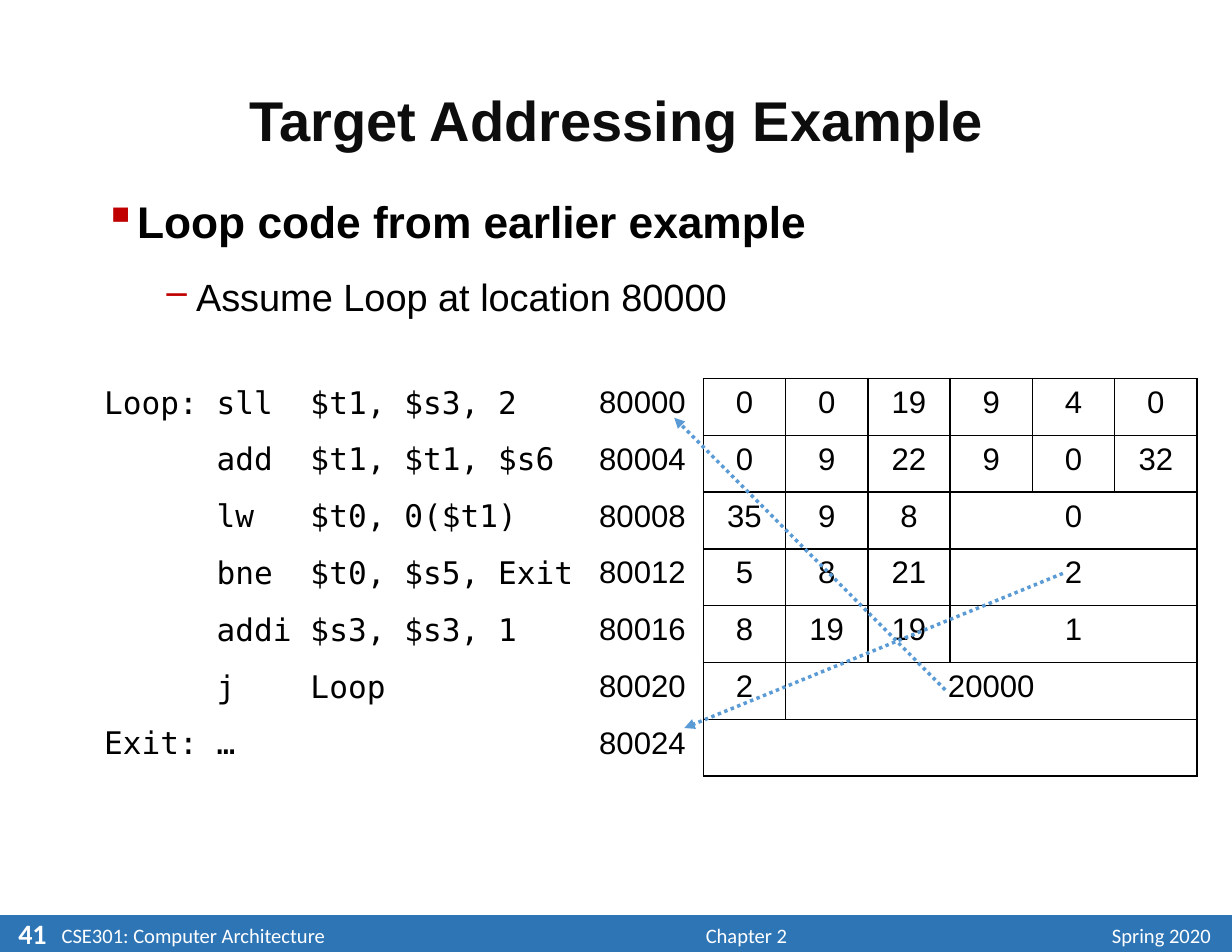
import lxml.etree
import pptx
import pptx.dml.color
import pptx.enum.dml
import pptx.enum.shapes
import pptx.enum.text
import pptx.oxml.ns
import pptx.util

Inches = pptx.util.Inches
Pt = pptx.util.Pt
RGBColor = pptx.dml.color.RGBColor
Align = pptx.enum.text.PP_ALIGN
qn = pptx.oxml.ns.qn

BLACK = RGBColor(0x00, 0x00, 0x00)
WHITE = RGBColor(0xFF, 0xFF, 0xFF)
TITLE_COLOR = RGBColor(0x0D, 0x0D, 0x0D)
BULLET_RED = RGBColor(0xC0, 0x00, 0x00)
FOOTER_BLUE = RGBColor(0x2E, 0x75, 0xB6)
ARROW_BLUE = RGBColor(0x5B, 0x9B, 0xD5)

CODE_WIDTH, ADDRESS_WIDTH, FIELD_WIDTH = 4.42, 1.04, 0.735
FIELD_COUNT = 6
FIRST_ADDRESS = 80000
# Each line of code with its instruction fields; the last field fills the row.
INSTRUCTIONS = [
    ("Loop: sll  $t1, $s3, 2", [0, 0, 19, 9, 4, 0]),
    ("      add  $t1, $t1, $s6", [0, 9, 22, 9, 0, 32]),
    ("      lw   $t0, 0($t1)", [35, 9, 8, 0]),
    ("      bne  $t0, $s5, Exit", [5, 8, 21, 2]),
    ("      addi $s3, $s3, 1", [8, 19, 19, 1]),
    ("      j    Loop", [2, 20000]),
    ("Exit: …", [""]),
]


def format_runs(paragraph, size, font_name, color, bold=False):
    for run in paragraph.runs:
        run.font.size = Pt(size)
        run.font.name = font_name
        run.font.color.rgb = color
        run.font.bold = bold


def set_margins(target):
    """Give a text frame or a table cell the slide's usual margins."""
    target.margin_left = target.margin_right = Inches(0.11)
    target.margin_top = target.margin_bottom = Inches(0.06)


def add_text_frame(slide, left, top, width, height, wrap=True):
    box = slide.shapes.add_textbox(
        Inches(left), Inches(top), Inches(width), Inches(height))
    box.text_frame.word_wrap = wrap
    set_margins(box.text_frame)
    return box.text_frame


def add_footer(slide):
    bar = slide.shapes.add_shape(
        pptx.enum.shapes.MSO_SHAPE.RECTANGLE,
        Inches(0), Inches(8.17), Inches(11), Inches(0.33))
    bar.shadow.inherit = False
    bar.fill.solid()
    bar.fill.fore_color.rgb = FOOTER_BLUE
    bar.line.fill.background()
    for text, place, alignment, size, bold, wrap in [
        ("Chapter 2", (5.33, 8.18, 2.67, 0.32), Align.CENTER, 13.2, False, True),
        ("Spring 2020", (9.25, 8.18, 1.67, 0.32), Align.RIGHT, 13.2, False, True),
        ("CSE301: Computer Architecture", (0.44, 8.18, 2.62, 0.32),
         Align.LEFT, 13.2, False, False),
        ("41", (0.04, 8.12, 0.5, 0.34), Align.CENTER, 18, True, True),
    ]:
        text_frame = add_text_frame(slide, *place, wrap=wrap)
        text_frame.text = text
        paragraph = text_frame.paragraphs[0]
        paragraph.alignment = alignment
        format_runs(paragraph, size, "Calibri", WHITE, bold)


def add_title(slide, text):
    text_frame = add_text_frame(slide, 0.76, 0.45, 9.49, 1.3)
    text_frame.vertical_anchor = pptx.enum.text.MSO_ANCHOR.MIDDLE
    text_frame.text = text
    paragraph = text_frame.paragraphs[0]
    paragraph.alignment = Align.CENTER
    paragraph.line_spacing = 0.9
    format_runs(paragraph, 36, "Arial", TITLE_COLOR, bold=True)


def set_bullet(paragraph, character, indent):
    properties = paragraph._p.get_or_add_pPr()
    properties.set("marL", str(Inches(indent)))
    properties.set("indent", str(Inches(-0.28)))
    color = lxml.etree.SubElement(properties, qn("a:buClr"))
    lxml.etree.SubElement(color, qn("a:srgbClr"), val=str(BULLET_RED))
    lxml.etree.SubElement(properties, qn("a:buChar"), char=character)


def add_bullets(slide):
    text_frame = add_text_frame(slide, 0.82, 1.48, 9.95, 1.48)
    text_frame.text = "Loop code from earlier example\nAssume Loop at location 80000"
    heading, detail = text_frame.paragraphs
    set_bullet(heading, "▪", 0.28)
    set_bullet(detail, "‒", 0.82)
    heading.line_spacing = detail.line_spacing = 1.4
    detail.level = 1
    detail.space_before = Pt(5.5)
    format_runs(heading, 28.5, "Arial", BLACK, bold=True)
    format_runs(detail, 24.4, "Arial", BLACK)


def set_borders(cell, color, right_color):
    properties = cell._tc.get_or_add_tcPr()
    for index, side in enumerate("LRTB"):
        line = lxml.etree.Element(qn(f"a:ln{side}"), w=str(Pt(1)))
        fill = lxml.etree.SubElement(line, qn("a:solidFill"))
        side_color = right_color if side == "R" else color
        lxml.etree.SubElement(fill, qn("a:srgbClr"), val=str(side_color))
        properties.insert(index, line)


def fill_cell(cell, text, font_name="Arial", alignment=Align.LEFT):
    cell.text_frame.text = str(text)
    paragraph = cell.text_frame.paragraphs[0]
    paragraph.alignment = alignment
    format_runs(paragraph, 20, font_name, BLACK)


def add_instruction_table(slide):
    widths = [CODE_WIDTH, ADDRESS_WIDTH] + [FIELD_WIDTH] * FIELD_COUNT
    table = slide.shapes.add_table(
        len(INSTRUCTIONS), len(widths),
        Inches(0.82), Inches(3.38), Inches(sum(widths)), Inches(3.55)).table
    table.first_row = table.horz_banding = False
    for column, width in zip(table.columns, widths):
        column.width = Inches(width)

    for row, (code, fields) in enumerate(INSTRUCTIONS):
        for column in range(len(widths)):
            cell = table.cell(row, column)
            cell.fill.background()
            set_margins(cell)
            set_borders(cell, WHITE if column < 2 else BLACK,
                        WHITE if column == 0 else BLACK)
        fill_cell(table.cell(row, 0), code, "DejaVu Sans Mono")
        fill_cell(table.cell(row, 1), FIRST_ADDRESS + 4 * row)
        last_column = 1 + len(fields)
        if len(fields) < FIELD_COUNT:
            table.cell(row, last_column).merge(table.cell(row, len(widths) - 1))
        for column, value in enumerate(fields, start=2):
            fill_cell(table.cell(row, column), value, alignment=Align.CENTER)


def add_target_arrow(slide, start, end):
    arrow = slide.shapes.add_connector(
        pptx.enum.shapes.MSO_CONNECTOR.STRAIGHT,
        *(Inches(length) for length in start + end))
    arrow.line.color.rgb = ARROW_BLUE
    arrow.line.width = Pt(2.25)
    arrow.line.dash_style = pptx.enum.dml.MSO_LINE.ROUND_DOT
    lxml.etree.SubElement(arrow.line._get_or_add_ln(), qn("a:tailEnd"), type="triangle")
    lxml.etree.SubElement(arrow._element.spPr, qn("a:effectLst"))


def main():
    presentation = pptx.Presentation()
    presentation.slide_width = Inches(11)
    presentation.slide_height = Inches(8.5)
    slide = presentation.slides.add_slide(presentation.slide_layouts[6])
    add_footer(slide)
    add_title(slide, "Target Addressing Example")
    add_bullets(slide)
    add_instruction_table(slide)
    add_target_arrow(slide, (8.44, 6.16), (6.02, 3.73))
    add_target_arrow(slide, (9.49, 5.12), (6.11, 6.5))
    presentation.save("out.pptx")


if __name__ == "__main__":
    main()
